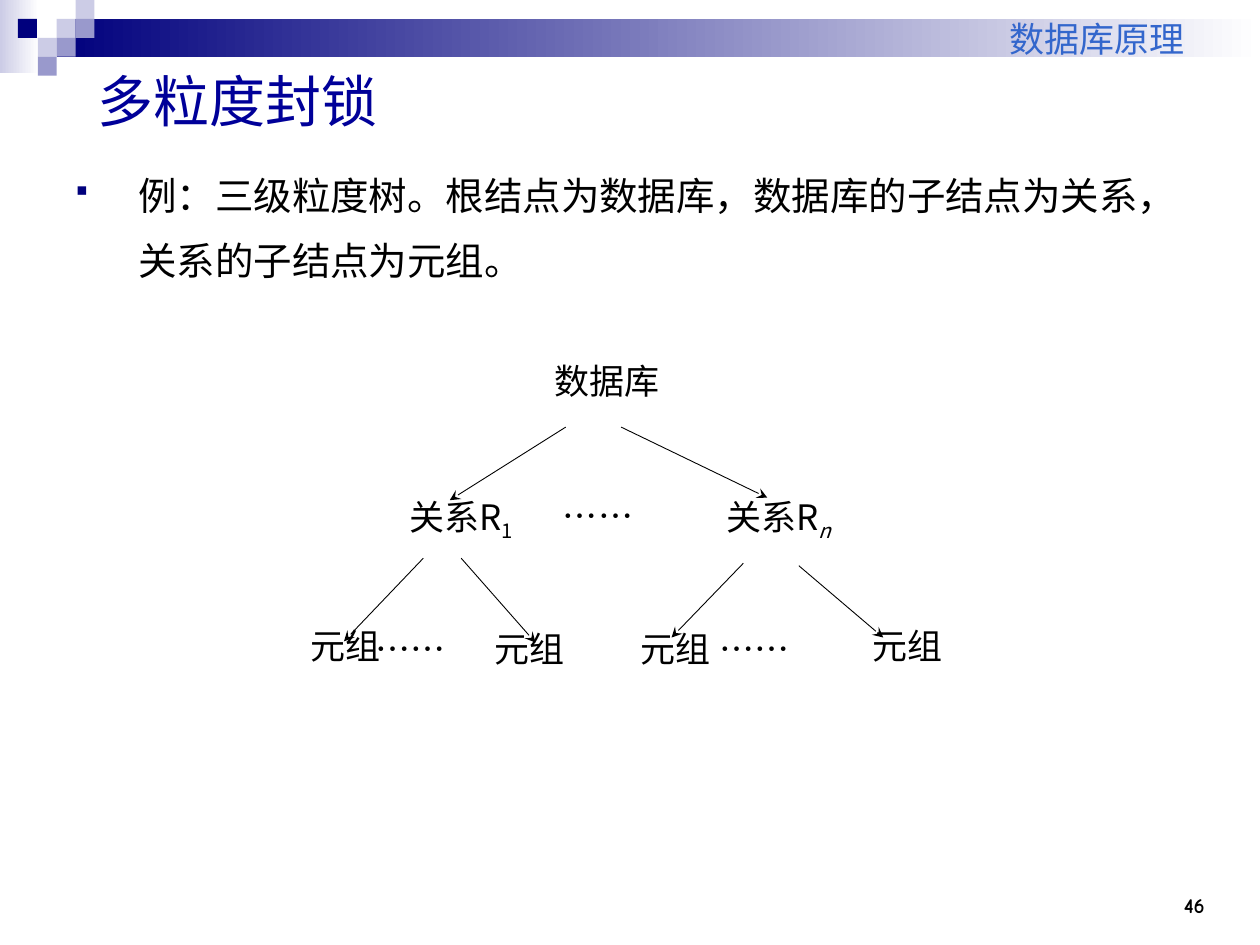
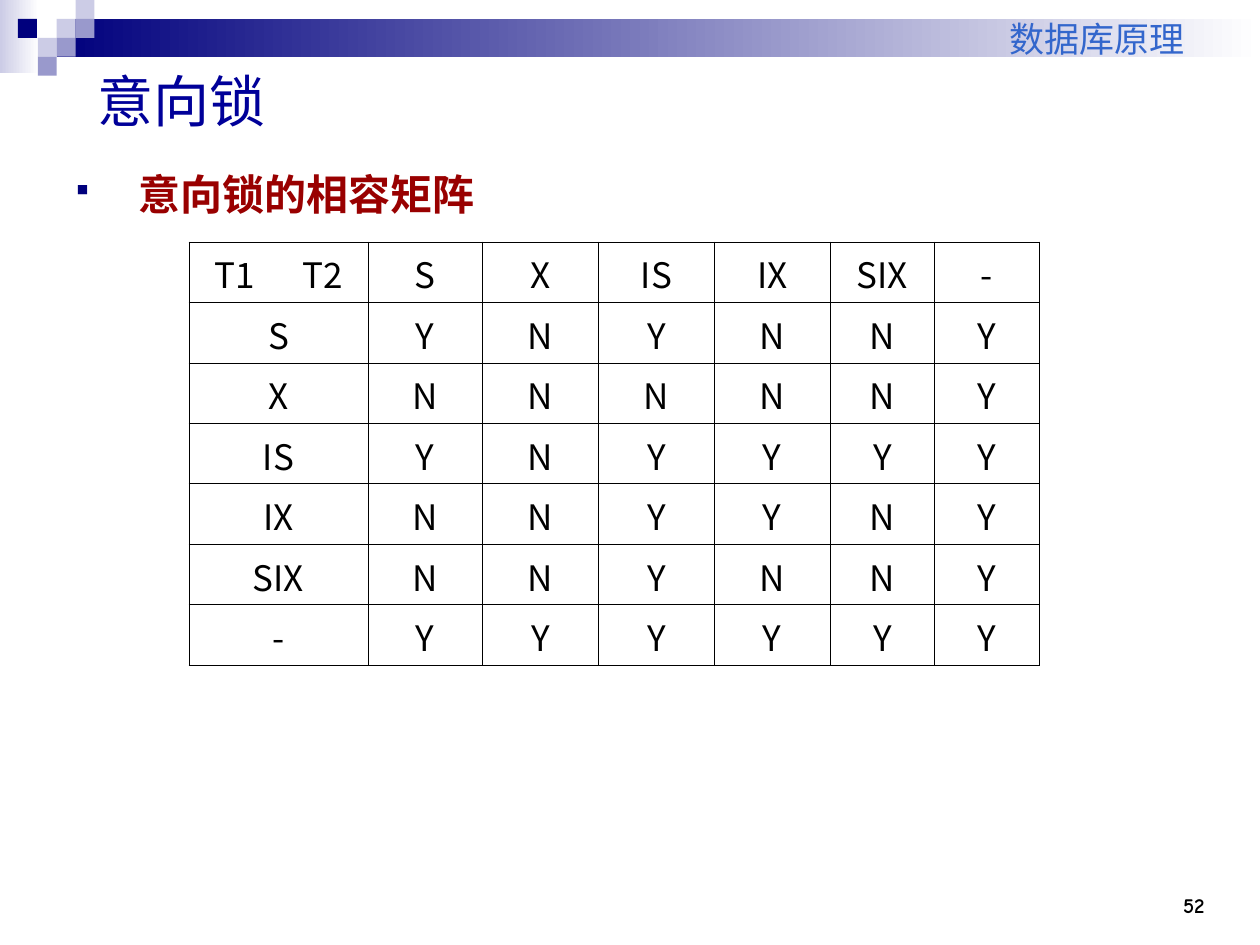
from lxml import etree
from pptx import Presentation
from pptx import util as u
from pptx.dml.color import RGBColor
from pptx.enum import shapes, text
from pptx.oxml import ns

COLORS = {
    "navy": "00007D", "lilac": "CCCCE6", "violet": "9999CC", "white": "FFFFFF",
    "black": "000000", "title": "000099", "course": "3366CC", "red": "990000",
}
COMIC, COURIER, SANS = "Comic Neue", "Courier New", "Noto Sans CJK SC"
ALIGN, ANCHOR = text.PP_ALIGN, text.MSO_ANCHOR
SLIDE_W, SLIDE_H = 10, 7.5
BODY_BOX = (0.5, 1.17, 9.17, 5.83)
TREE_BOX = (2, 2.8, 6, 3)
MATRIX_BOX = (1.5, 1.92, 6.75, 3.36)

# Tree positions are columns and rows of a 60 by 30 grid.
TREE_COLS, TREE_ROWS = 60, 30
NODES = [  # centre column, top row, label, subscript, subscript is italic
    (28.2, 0.3, "数据库", "", False),
    (16.6, 10.8, "关系R", "1", False),
    (41.8, 10.8, "关系R", "n", True),
    (7.4, 21.3, "元组", "", False),
    (22, 21.5, "元组", "", False),
    (33.6, 21.5, "元组", "", False),
    (52, 21.3, "元组", "", False),
]
ELLIPSES = [(23.7, 11), (8.8, 21.5), (36.1, 21.5)]
BRANCHES = [
    (24.9, 5.9, 15.7, 11.7), (29.3, 5.9, 40.9, 11.5),
    (13.6, 16.3, 7.3, 22.9), (16.6, 16.3, 22.5, 23),
    (39, 16.7, 33.3, 22.6), (43.4, 16.9, 50.1, 22.6),
]

LOCKS = ["S", "X", "IS", "IX", "SIX", "-"]
COMPATIBLE = ["YNYNNY", "NNNNNY", "YNYYYY", "NNYYNY", "NNYNNY", "YYYYYY"]
MATRIX_COLS = [1.42, 0.91, 0.92, 0.92, 0.92, 0.83, 0.83]


def rgb(color):
    return RGBColor.from_string(COLORS[color])


def add_xml(parent, tag, **attrs):
    return etree.SubElement(parent, ns.qn(tag), attrs)


def add_run(p, words, size, font, color="black", bold=False, italic=False):
    r = p.add_run()
    r.text = words
    f = r.font
    f.size, f.name, f.bold, f.italic = u.Pt(size), font, bold, italic
    f.color.rgb = rgb(color)
    add_xml(r._r.get_or_add_rPr(), "a:ea", typeface=font)
    return r


def add_text_box(slide, box, align=ALIGN.LEFT, anchor=ANCHOR.TOP):
    """Add an empty wrapping text box and return its first paragraph."""
    tf = slide.shapes.add_textbox(*map(u.Inches, box)).text_frame
    tf.word_wrap = True
    tf.vertical_anchor = anchor
    p = tf.paragraphs[0]
    p.alignment = align
    return p


def add_rect(slide, box, color, fade=False):
    """Add a borderless rectangle, fading to white on the right if asked."""
    sp = slide.shapes.add_shape(shapes.MSO_SHAPE.RECTANGLE, *map(u.Inches, box))
    sp.shadow.inherit = False
    sp.line.fill.background()
    if fade:
        sp.fill.gradient()
        sp.fill.gradient_angle = 0
        for stop, stop_color in zip(sp.fill.gradient_stops, (color, "white")):
            stop.color.rgb = rgb(stop_color)
    else:
        sp.fill.solid()
        sp.fill.fore_color.rgb = rgb(color)


def add_band(slide):
    unit = 0.15
    add_rect(slide, (0, 0, 0.31, 0.58), "lilac", fade=True)
    add_rect(slide, (3 * unit, unit, SLIDE_W - 3 * unit, 2 * unit), "navy", fade=True)
    for col, row, color in [
        (3, 1, "lilac"), (4, 0, "lilac"), (4, 1, "violet"), (2, 2, "lilac"),
        (0.95, 1, "navy"), (3, 2, "violet"), (2, 3, "violet"),
    ]:
        add_rect(slide, (col * unit, row * unit, unit, unit), color)


def add_frame(prs, title, number):
    """Add a slide with the band, course name, title and page number."""
    slide = prs.slides.add_slide(prs.slide_layouts[5])
    add_band(slide)
    p = add_text_box(slide, (8.83, 6.83, 0.83, 0.5), ALIGN.RIGHT, ANCHOR.BOTTOM)
    add_run(p, number, 12, COMIC, bold=True)
    p = add_text_box(slide, (3.83, 0, 5.67, 0.52), ALIGN.RIGHT, ANCHOR.BOTTOM)
    add_run(p, "数据库原理", 20, COMIC, "course")

    sp = slide.shapes.title
    sp.left, sp.top, sp.width, sp.height = map(u.Inches, (0.67, 0.42, 9, 0.75))
    tf = sp.text_frame
    tf.auto_size = text.MSO_AUTO_SIZE.NONE
    tf.vertical_anchor = ANCHOR.MIDDLE
    p = tf.paragraphs[0]
    p.alignment = ALIGN.LEFT
    add_run(p, title, 32, COMIC, "title")
    return slide


def add_bullet(slide, box, words, size, spacing, color="black", bold=False):
    p = add_text_box(slide, box)
    p.line_spacing = spacing
    pPr = p._p.get_or_add_pPr()
    pPr.set("marL", str(u.Inches(0.5)))
    pPr.set("indent", str(-u.Inches(0.5)))
    add_xml(add_xml(pPr, "a:buClr"), "a:srgbClr", val=COLORS["navy"])
    add_xml(pPr, "a:buSzPct", val="75000")
    add_xml(pPr, "a:buFont", typeface="Wingdings")
    add_xml(pPr, "a:buChar", char="§")
    add_run(p, words, size, COURIER, color, bold)


def add_arrow(slide, x1, y1, x2, y2):
    line = slide.shapes.add_connector(
        shapes.MSO_CONNECTOR.STRAIGHT, *map(u.Inches, (x1, y1, x2, y2)))
    line.line.color.rgb = rgb("black")
    line.line.width = u.Pt(0.5)
    add_xml(line.line._get_or_add_ln(), "a:tailEnd", type="stealth")
    add_xml(line._element.spPr, "a:effectLst")


def add_tree(slide, box):
    left, top, width, height = box
    col, row = width / TREE_COLS, height / TREE_ROWS
    node_w, node_h = 14.6 * col, 6 * row

    for c1, r1, c2, r2 in BRANCHES:
        add_arrow(slide, left + c1 * col, top + r1 * row,
                  left + c2 * col, top + r2 * row)
    for c, r, label, subscript, italic in NODES:
        node = (left + c * col - node_w / 2, top + r * row, node_w, node_h)
        p = add_text_box(slide, node, ALIGN.CENTER)
        p.line_spacing = 0.96
        add_run(p, label, 20, SANS)
        if subscript:
            sub = add_run(p, subscript, 20, SANS, italic=italic)
            sub.font._element.set("baseline", "-25000")
    for c, r in ELLIPSES:
        p = add_text_box(slide, (left + c * col, top + r * row, node_w, node_h))
        p.line_spacing = 0.96
        add_run(p, "……", 20, SANS)


def add_borders(cell):
    tcPr = cell._tc.get_or_add_tcPr()
    for i, side in enumerate(("a:lnL", "a:lnR", "a:lnT", "a:lnB")):
        ln = add_xml(tcPr, side, w=str(u.Pt(0.45)))
        add_xml(add_xml(ln, "a:solidFill"), "a:srgbClr", val=COLORS["black"])
        tcPr.insert(i, ln)


def add_matrix(slide, box):
    rows = [["T1\tT2", *LOCKS]]
    rows += [[lock, *answers] for lock, answers in zip(LOCKS, COMPATIBLE)]
    table = slide.shapes.add_table(
        len(rows), len(MATRIX_COLS), *map(u.Inches, box)).table
    table.first_row = table.horz_banding = False
    for column, share in zip(table.columns, MATRIX_COLS):
        column.width = u.Inches(box[2] * share / sum(MATRIX_COLS))
    for row in table.rows:
        row.height = u.Inches(box[3] / len(rows)) 

    for i, words in enumerate(rows):
        for j, word in enumerate(words):
            cell = table.cell(i, j)
            cell.fill.background()
            cell.vertical_anchor = ANCHOR.MIDDLE
            add_borders(cell)
            p = cell.text_frame.paragraphs[0]
            p.alignment = ALIGN.CENTER
            if "\t" in word:
                p.alignment = ALIGN.LEFT
                cell.margin_left = u.Inches(0.2)
                tabs = add_xml(p._p.get_or_add_pPr(), "a:tabLst")
                add_xml(tabs, "a:tab", pos=str(u.Inches(0.7)), algn="l")
            add_run(p, word, 20, SANS)


def main():
    prs = Presentation()
    prs.slide_width, prs.slide_height = u.Inches(SLIDE_W), u.Inches(SLIDE_H)

    slide = add_frame(prs, "多粒度封锁", "46")
    add_bullet(slide, BODY_BOX,
               "例：三级粒度树。根结点为数据库，数据库的子结点为关系，关系的子结点为元组。",
               22, 1.4)
    add_tree(slide, TREE_BOX)

    slide = add_frame(prs, "意向锁", "52")
    add_bullet(slide, BODY_BOX, "意向锁的相容矩阵", 24, 1.3, "red", bold=True)
    add_matrix(slide, MATRIX_BOX)

    prs.save("out.pptx")


if __name__ == "__main__":
    main()
